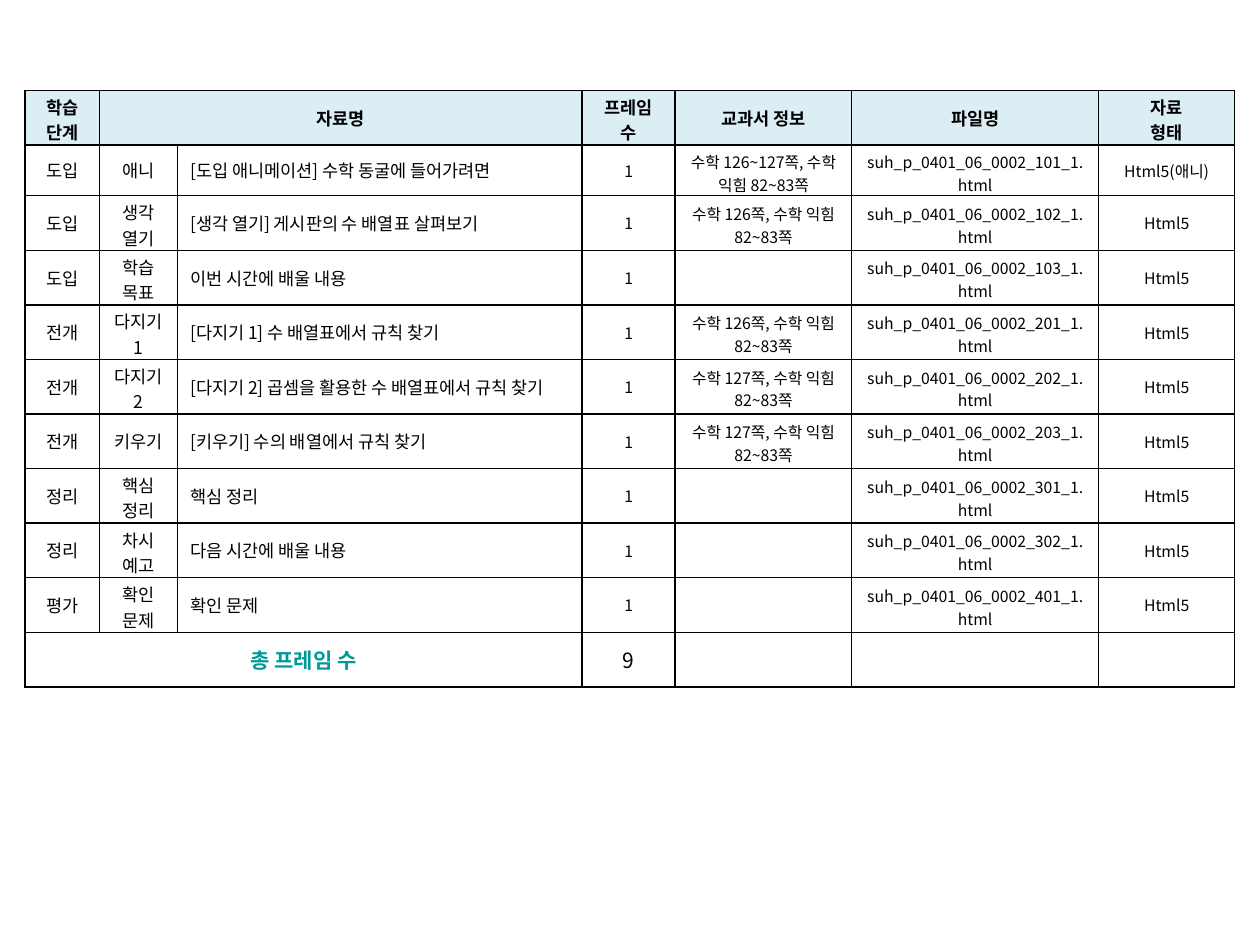
from lxml.etree import SubElement
from pptx import Presentation
from pptx.dml.color import RGBColor
from pptx.enum.text import MSO_ANCHOR, PP_ALIGN
from pptx.oxml.ns import qn
from pptx.util import Inches, Pt

FONT = "Noto Sans CJK KR"
HUE = {"ink": "000000", "head": "DBEEF4", "total": "009999"}


def put(cell, text, size=10, bold=False, color="ink", align=PP_ALIGN.CENTER,
        top=0.05, bottom=0.05):
    """Write text into a table cell, one paragraph per line."""
    cell.vertical_anchor = MSO_ANCHOR.MIDDLE
    cell.margin_top, cell.margin_bottom = Inches(top), Inches(bottom)
    frame = cell.text_frame
    for i, line in enumerate(text.split("\n")):
        para = frame.add_paragraph() if i else frame.paragraphs[0]
        para.alignment = align
        if not line:
            # An empty cell keeps a small line height
            SubElement(para._p, qn("a:endParaRPr"), sz=str(size * 100))
            continue
        run = para.add_run()
        run.text = line
        font = run.font
        font.size, font.bold, font.name = Pt(size), bold, FONT
        font.color.rgb = RGBColor.from_string(HUE[color])
        SubElement(font._element, qn("a:ea"), typeface=FONT)


def frame_cell(cell):
    """Draw a thin line on each side of a cell."""
    props = cell._tc.get_or_add_tcPr()
    for i, side in enumerate(("lnL", "lnR", "lnT", "lnB")):
        line = props.makeelement(qn("a:" + side), {"w": str(Pt(1))})
        fill = SubElement(line, qn("a:solidFill"))
        SubElement(fill, qn("a:srgbClr"), val=HUE["ink"])
        props.insert(i, line)


# Content
heads = ["학습 단계", "자료명", "", "프레임 수", "교과서 정보", "파일명", "자료\n형태"]
book = "수학 {}쪽, 수학 익힘 82~83쪽"
steps = [  # stage, part, title, textbook pages, file number
    ("도입", "애니", "[도입 애니메이션] 수학 동굴에 들어가려면", "126~127", 101),
    ("도입", "생각 열기", "[생각 열기] 게시판의 수 배열표 살펴보기", "126", 102),
    ("도입", "학습 목표", "이번 시간에 배울 내용", "", 103),
    ("전개", "다지기 1", "[다지기 1] 수 배열표에서 규칙 찾기", "126", 201),
    ("전개", "다지기 2", "[다지기 2] 곱셈을 활용한 수 배열표에서 규칙 찾기", "127", 202),
    ("전개", "키우기", "[키우기] 수의 배열에서 규칙 찾기", "127", 203),
    ("정리", "핵심 정리", "핵심 정리", "", 301),
    ("정리", "차시 예고", "다음 시간에 배울 내용", "", 302),
    ("평가", "확인 문제", "확인 문제", "", 401),
]
widths = [0.59, 0.62, 3.21, 0.74, 1.4, 1.96, 1.08]
heights = [0.43, 0.4] + [0.433] * 9
last = len(heights) - 1

# Slide and table
deck = Presentation()
deck.slide_width, deck.slide_height = Inches(10), Inches(7.5)
slide = deck.slides.add_slide(deck.slide_layouts[6])
table = slide.shapes.add_table(
    len(heights), len(widths), Inches(0.2), Inches(0.72), Inches(9.6), Inches(4.73)
).table
table.first_row = table.horz_banding = False
for col, width in zip(table.columns, widths):
    col.width = Inches(width)
for row, height in zip(table.rows, heights):
    row.height = Inches(height)

# Fills and borders
for r in range(len(heights)):
    for c in range(len(widths)):
        cell = table.cell(r, c)
        if r == 0:
            cell.fill.solid()
            cell.fill.fore_color.rgb = RGBColor.from_string(HUE["head"])
        else:
            cell.fill.background()
        frame_cell(cell)
table.cell(0, 1).merge(table.cell(0, 2))
table.cell(last, 0).merge(table.cell(last, 2))

# Header row, with tight margins where the label takes two lines
tight = {"top": 0.03, "bottom": 0}
for c, text in enumerate(heads):
    put(table.cell(0, c), text, bold=True, **(tight if c in (0, 3, 6) else {}))

# Step rows
for r, (stage, part, title, pages, code) in enumerate(steps, 1):
    info = book.format(pages) if pages else ""
    kind = "Html5(애니)" if part == "애니" else "Html5"
    name = f"suh_p_0401_06_0002_{code}_1.html"
    for c, text in enumerate((stage, part, title, "1", info, name, kind)):
        room = {}
        if c == 1 and " " in part:
            room = tight
        elif c in (4, 5):
            room = {"top": 0.04, "bottom": 0} if r == 1 else {"bottom": 0.02}
        put(table.cell(r, c), text, size=9 if c > 2 else 10,
            align=PP_ALIGN.LEFT if c == 2 else PP_ALIGN.CENTER, **room)

# Total row
put(table.cell(last, 0), "총 프레임 수", size=12, bold=True, color="total")
put(table.cell(last, 3), str(len(steps)), size=12)
for c in (1, 2, 4, 5, 6):
    put(table.cell(last, c), "", size=9)

deck.save("out.pptx")
